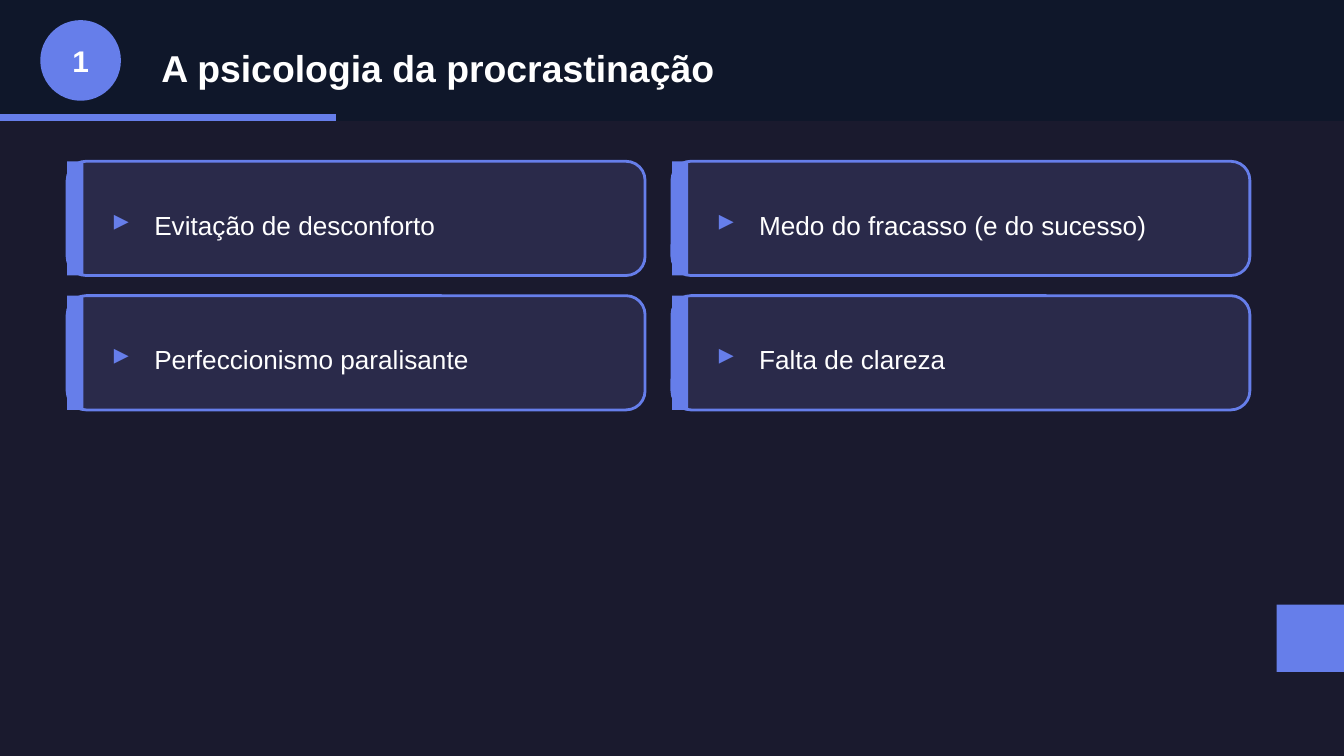
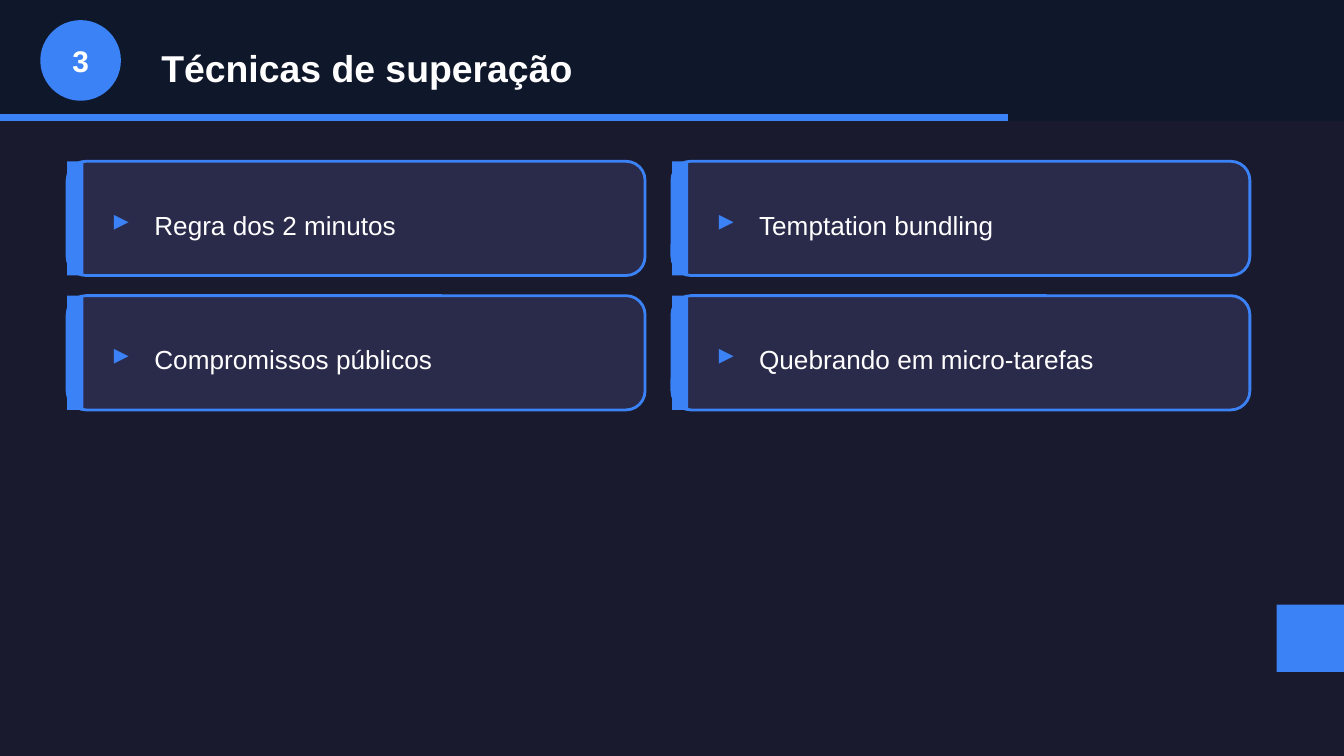
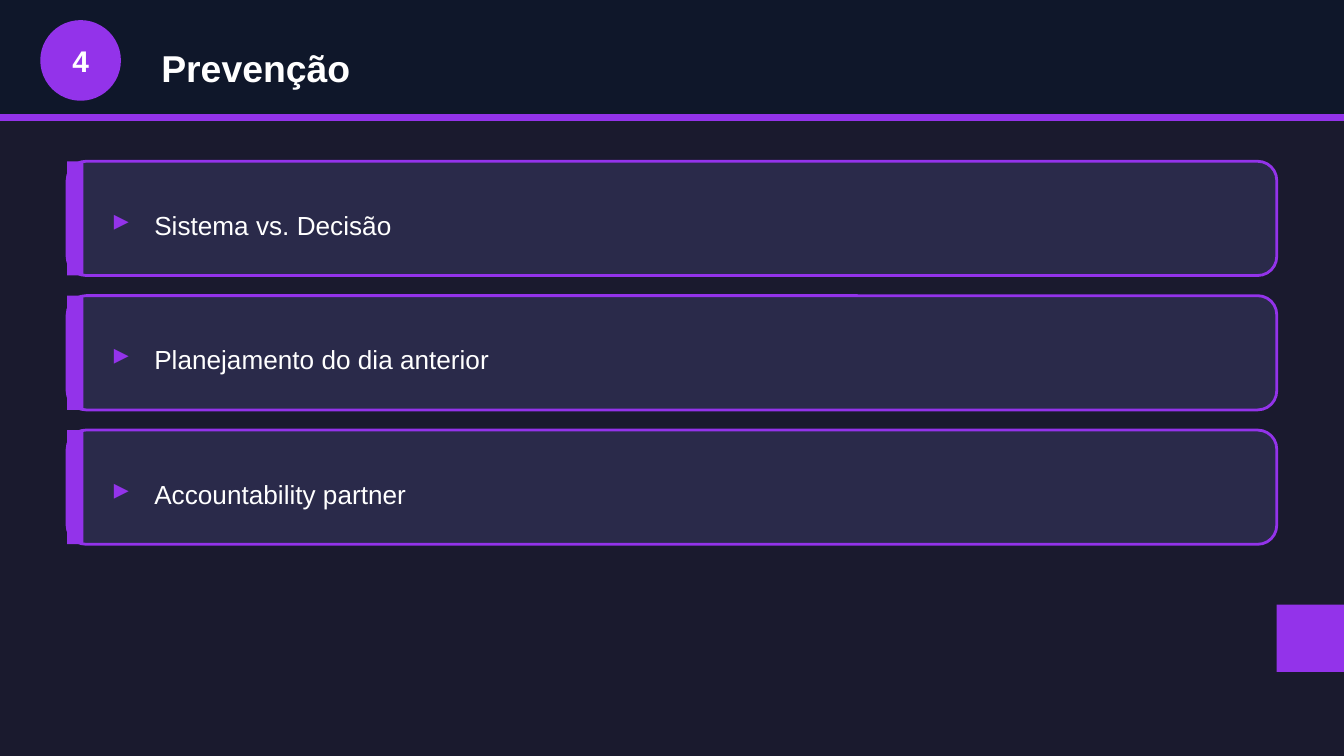
from pptx import Presentation
from pptx.dml.color import RGBColor as RGB
from pptx.enum.shapes import MSO_SHAPE as Form
from pptx.enum.text import MSO_ANCHOR as Anchor, MSO_AUTO_SIZE as Fit, PP_ALIGN as Align
from pptx.util import Pt

PX = 4572
FONT = "Arial"
COLORS = {
    "back": "1A1A2E",
    "band": "0F172A",
    "card": "2A2A4A",
    "text": "FFFFFF",
    "indigo": "667EEA",
    "blue": "3B82F6",
    "purple": "9333EA",
}
TOPICS = [
    (1, "A psicologia da procrastinação", "indigo", 2,
     ["Evitação de desconforto", "Medo do fracasso (e do sucesso)",
      "Perfeccionismo paralisante", "Falta de clareza"]),
    (3, "Técnicas de superação", "blue", 2,
     ["Regra dos 2 minutos", "Temptation bundling",
      "Compromissos públicos", "Quebrando em micro-tarefas"]),
    (4, "Prevenção", "purple", 1,
     ["Sistema vs. Decisão", "Planejamento do dia anterior",
      "Accountability partner"]),
]
CARD_WIDTH = {1: 1800, 2: 860}


def draw(slide, form, box, fill, line=None):
    shape = slide.shapes.add_shape(form, *[n * PX for n in box])
    shape.shadow.inherit = False
    shape.fill.solid()
    shape.fill.fore_color.rgb = RGB.from_string(COLORS[fill])
    if line:
        shape.line.color.rgb = RGB.from_string(COLORS[line])
        shape.line.width = Pt(1.5)
    else:
        shape.line.fill.background()


def write(slide, box, text, size, color="text", bold=False, align=Align.LEFT, shape=None):
    left, top, width, height = [n * PX for n in box]
    if shape is None:
        shape = slide.shapes.add_textbox(left, top, width, height)
    else:
        shape.left, shape.top, shape.width, shape.height = left, top, width, height
    frame = shape.text_frame
    frame.text = text
    frame.word_wrap = True
    frame.auto_size = Fit.NONE
    frame.vertical_anchor = Anchor.MIDDLE
    para = frame.paragraphs[0]
    para.alignment = align
    font = para.runs[0].font
    font.name = FONT
    font.size = Pt(size)
    font.bold = bold
    font.color.rgb = RGB.from_string(COLORS[color])


prs = Presentation()
prs.slide_width = 2000 * PX
prs.slide_height = 1125 * PX
back = prs.slide_master.background.fill
back.solid()
back.fore_color.rgb = RGB.from_string(COLORS["back"])

for number, heading, accent, columns, items in TOPICS:
    slide = prs.slides.add_slide(prs.slide_layouts[5])
    title = slide.shapes.title

    draw(slide, Form.RECTANGLE, (0, 0, 2000, 180), "band")
    draw(slide, Form.RECTANGLE, (0, 170, number * 500, 10), accent)
    draw(slide, Form.OVAL, (60, 30, 120, 120), accent)
    write(slide, (60, 50, 120, 80), str(number), 16, bold=True, align=Align.CENTER)
    slide.shapes.element.append(title.element)
    write(slide, (220, 50, 1700, 100), heading, 20, bold=True, shape=title)

    width = CARD_WIDTH[columns]
    for index, item in enumerate(items):
        row, column = divmod(index, columns)
        left = 100 + column * 900
        top = 240 + row * 200
        draw(slide, Form.ROUNDED_RECTANGLE, (left, top, width, 170), "card", accent)
        draw(slide, Form.RECTANGLE, (left, top, 24, 170), accent)
        write(slide, (left + 50, top + 50, 60, 70), "▸", 16, accent, bold=True)
        write(slide, (left + 110, top + 50, width - 160, 90), item, 14)

    draw(slide, Form.RECTANGLE, (1900, 900, 100, 100), accent)

prs.save("out.pptx")
